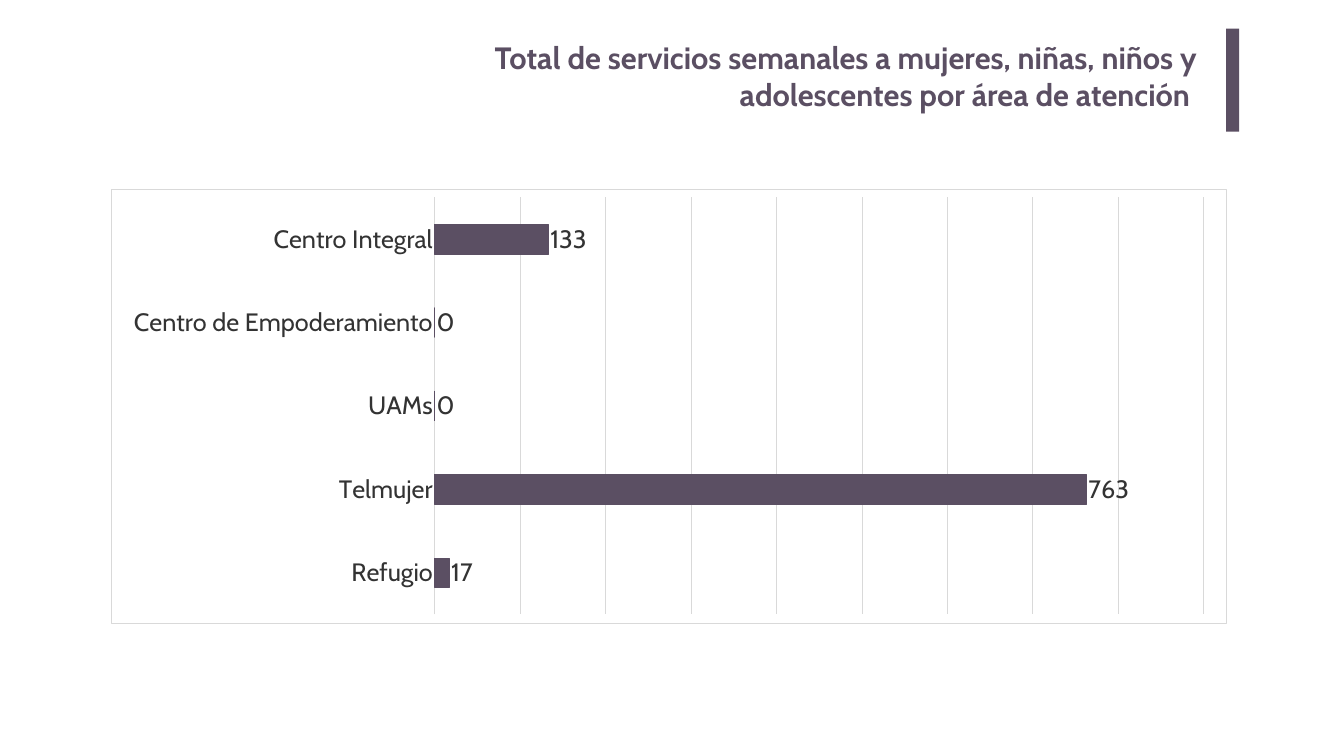
from lxml.etree import SubElement
from pptx import Presentation
from pptx.chart.data import CategoryChartData
from pptx.dml.color import RGBColor
from pptx.enum.chart import XL_CHART_TYPE, XL_LABEL_POSITION, XL_TICK_LABEL_POSITION, XL_TICK_MARK
from pptx.enum.shapes import MSO_SHAPE
from pptx.enum.text import MSO_ANCHOR, MSO_AUTO_SIZE, PP_ALIGN
from pptx.oxml import parse_xml
from pptx.oxml.ns import nsdecls
from pptx.util import Pt

TITLE = "Total de servicios semanales a mujeres, niñas, niños y adolescentes por área de atención "
SERVICES = [
    ("Centro Integral", 133),
    ("Centro de Empoderamiento", 0),
    ("UAMs", 0),
    ("Telmujer", 763),
    ("Refugio", 17),
]
THEME = {
    "font": "Cabin",
    "accent": "5B4F63",
    "text": "333333",
    "grid": "D9D9D9",
    "paper": "FFFFFF",
    "title_size": 44,
    "label_size": 36,
    "hairline": 0.75,
}
SLIDE_SIZE = (1920.24, 1080)
TITLE_BOX = (472.32, 48.24, 1252.8, 146.88)
ACCENT_BAR = (1751.76, 41.04, 18.72, 146.88)
CHART_BOX = (159.12, 269.28, 1592.64, 621.36)


def points(values):
    return [Pt(v) for v in values]


def rgb(name):
    return RGBColor.from_string(THEME[name])


def style_font(font, size, color, bold=False):
    font.name, font.size, font.bold = THEME["font"], Pt(THEME[size]), bold
    font.color.rgb = rgb(color)


def style_line(line, color):
    line.color.rgb = rgb(color)
    line.width = Pt(THEME["hairline"])


def add_title(s):
    sp = s.shapes.title
    sp.left, sp.top, sp.width, sp.height = points(TITLE_BOX)
    tf = sp.text_frame
    tf.word_wrap, tf.auto_size = True, MSO_AUTO_SIZE.NONE
    tf.vertical_anchor = MSO_ANCHOR.TOP
    tf.margin_left = tf.margin_right = Pt(14.4)
    tf.margin_top = tf.margin_bottom = Pt(7.2)
    p = tf.paragraphs[0]
    p.alignment, p.space_before, p.line_spacing = PP_ALIGN.RIGHT, Pt(0), 1.0
    r = p.add_run()
    r.text = TITLE
    style_font(r.font, "title_size", "accent", bold=True)


def add_accent_bar(s):
    sp = s.shapes.add_shape(MSO_SHAPE.RECTANGLE, *points(ACCENT_BAR))
    sp.shadow.inherit = False
    sp.fill.solid()
    sp.fill.fore_color.rgb = rgb("accent")
    sp.line.fill.background()


def frame_chart(chart):
    """Give the chart area its fill and thin border."""
    chart.element.find("{*}chart").addnext(parse_xml(
        f'<c:spPr {nsdecls("c", "a")}>'
        f'<a:solidFill><a:srgbClr val="{THEME["paper"]}"/></a:solidFill>'
        f'<a:ln w="{Pt(THEME["hairline"])}"><a:solidFill>'
        f'<a:srgbClr val="{THEME["grid"]}"/></a:solidFill></a:ln></c:spPr>'))


def add_services_chart(s):
    data = CategoryChartData()
    data.categories = [name for name, _ in SERVICES]
    data.add_series("Series 1", [value for _, value in SERVICES])
    chart = s.shapes.add_chart(XL_CHART_TYPE.BAR_CLUSTERED, *points(CHART_BOX), data).chart
    chart.has_legend = chart.has_title = False
    chart.font.name, chart.font.size = THEME["font"], Pt(10)
    frame_chart(chart)

    axis = chart.category_axis
    axis.reverse_order = True
    axis.major_tick_mark = axis.minor_tick_mark = XL_TICK_MARK.NONE
    axis.tick_label_position = XL_TICK_LABEL_POSITION.NEXT_TO_AXIS
    style_font(axis.tick_labels.font, "label_size", "text")
    style_line(axis.format.line, "grid")

    axis = chart.value_axis
    axis.visible = False
    axis.minimum_scale, axis.maximum_scale, axis.major_unit = 0, 900, 100
    axis.has_major_gridlines = True
    style_line(axis.major_gridlines.format.line, "grid")

    plot = chart.plots[0]
    plot.gap_width, plot.vary_by_categories = 182, False
    series = plot.series[0]
    series.format.fill.solid()
    series.format.fill.fore_color.rgb = rgb("accent")
    style_line(series.format.line, "accent")
    labels = series.data_labels
    labels.show_value = True
    labels.position = XL_LABEL_POSITION.OUTSIDE_END
    style_font(labels.font, "label_size", "text")


def main():
    prs = Presentation()
    prs.slide_width, prs.slide_height = points(SLIDE_SIZE)
    s = prs.slides.add_slide(prs.slide_layouts[5])
    add_title(s)
    add_accent_bar(s)
    add_services_chart(s)
    prs.save("out.pptx")


if __name__ == "__main__":
    main()
